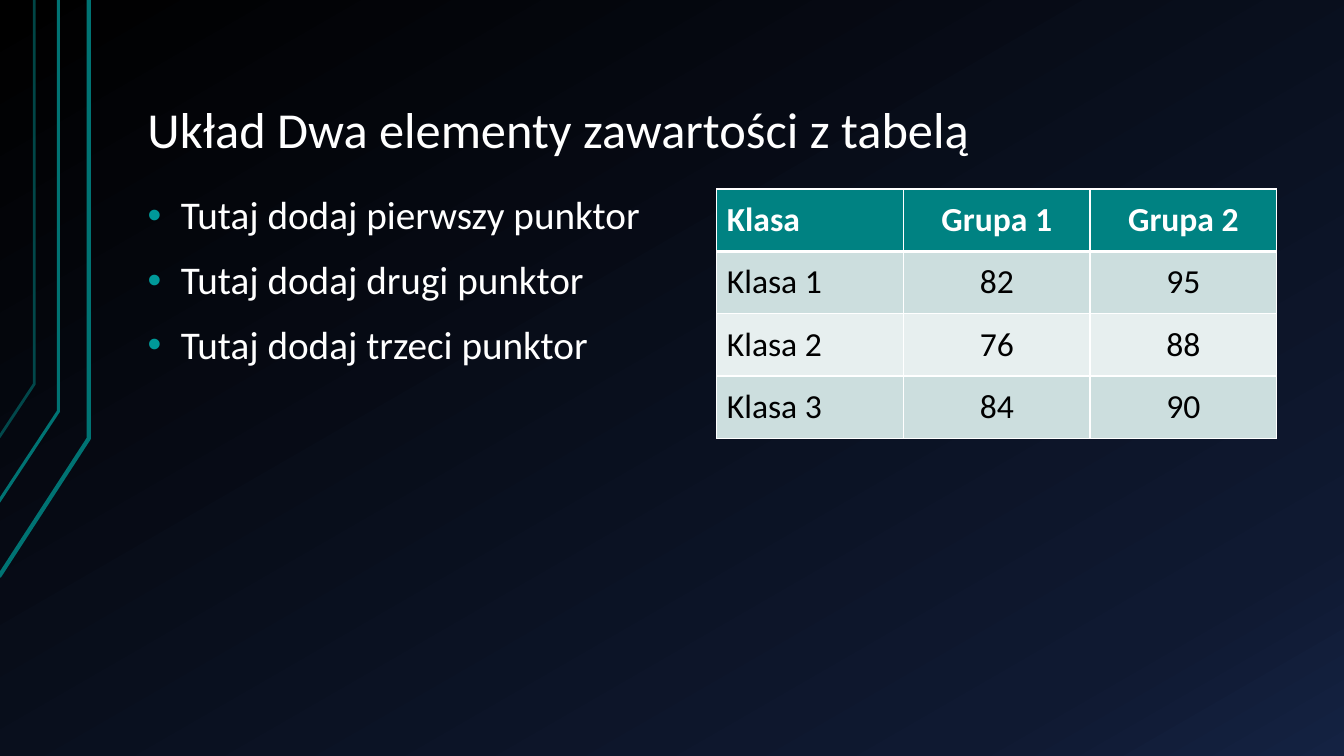
from lxml.etree import SubElement
from pptx import Presentation
from pptx.dml.color import RGBColor
from pptx.enum.text import MSO_ANCHOR as Anchor, PP_ALIGN as Align
from pptx.oxml import parse_xml
from pptx.oxml.ns import nsdecls, qn
from pptx.util import Inches, Pt

WIDTH, HEIGHT = Inches(13.333), Inches(7.5)
FONT = "Calibri"
WHITE = RGBColor(0xFF, 0xFF, 0xFF)
BLACK = RGBColor(0x00, 0x00, 0x00)
NAVY = RGBColor(0x0F, 0x19, 0x31)
BLUE = RGBColor(0x14, 0x22, 0x42)
LINE_TEAL = RGBColor(0x00, 0x73, 0x73)
BULLET_TEAL = RGBColor(0x00, 0x99, 0x99)
HEADER_TEAL = RGBColor(0x00, 0x82, 0x82)
BAND_DARK = RGBColor(0xCC, 0xDE, 0xDE)
BAND_LIGHT = RGBColor(0xE7, 0xEF, 0xEF)

TITLE = "Układ Dwa elementy zawartości z tabelą"
BULLETS = [
    "Tutaj dodaj pierwszy punktor",
    "Tutaj dodaj drugi punktor",
    "Tutaj dodaj trzeci punktor",
]
RESULTS = [
    ["Klasa", "Grupa 1", "Grupa 2"],
    ["Klasa 1", "82", "95"],
    ["Klasa 2", "76", "88"],
    ["Klasa 3", "84", "90"],
]


def share_box(left, top, width, height):
    return (int(WIDTH * left), int(HEIGHT * top),
            int(WIDTH * width), int(HEIGHT * height))


def style_runs(paragraph, size, color, bold=False):
    for run in paragraph.runs:
        run.font.name = FONT
        run.font.size = Pt(size)
        run.font.bold = bold
        run.font.color.rgb = color


def paint_background(slide):
    fill = slide.background.fill
    fill.gradient()
    fill.gradient_angle = 300
    stops = next(slide.element.iter(qn("a:gsLst")))
    for stop in list(stops):
        stops.remove(stop)
    for percent, color in ((0, BLACK), (85, NAVY), (100, BLUE)):
        stop = SubElement(stops, qn("a:gs"), pos=str(percent * 1000))
        SubElement(stop, qn("a:srgbClr"), val=str(color))


def add_corner_lines(slide):
    bends = [
        (-0.01, 5.72, 0.88, 4.35, 3, 100),
        (-0.02, 4.99, 0.58, 4.08, 2.25, 100),
        (-0.01, 4.34, 0.34, 3.81, 2, 60),
    ]
    for start, bottom, right, bend, weight, opacity in bends:
        builder = slide.shapes.build_freeform(
            Inches(start), Inches(bottom))
        builder.add_line_segments(
            [(Inches(right), Inches(bend)), (Inches(right), 0)], close=False)
        shape = builder.convert_to_shape()
        shape.shadow.inherit = False
        shape.fill.background()
        shape.line.color.rgb = LINE_TEAL
        shape.line.width = Pt(weight)
        if opacity < 100:
            color = next(shape.line._get_or_add_ln().iter(qn("a:srgbClr")))
            SubElement(color, qn("a:alpha"), val=str(opacity * 1000))


def add_text_area(slide, box, text, size, anchor):
    text_frame = slide.shapes.add_textbox(*box).text_frame
    text_frame.word_wrap = True
    text_frame.vertical_anchor = anchor
    text_frame.margin_left = text_frame.margin_right = Inches(0.13)
    text_frame.margin_top = text_frame.margin_bottom = Inches(0.07)
    text_frame.text = text
    for paragraph in text_frame.paragraphs:
        paragraph.line_spacing = 0.9
        style_runs(paragraph, size, WHITE)
    return text_frame


def add_bullets(slide, box):
    text_frame = add_text_area(slide, box, "\n".join(BULLETS), 28, Anchor.TOP)
    for paragraph in text_frame.paragraphs:
        paragraph.space_before = Pt(16)
        properties = paragraph._p.get_or_add_pPr()
        properties.set("marL", str(Inches(0.33)))
        properties.set("indent", str(-Inches(0.33)))
        color = SubElement(properties, qn("a:buClr"))
        SubElement(color, qn("a:srgbClr"), val=str(BULLET_TEAL))
        SubElement(properties, qn("a:buFont"), typeface="Arial")
        SubElement(properties, qn("a:buChar"), char="•")


def set_borders(cell, top, bottom):
    properties = cell._tc.get_or_add_tcPr()
    sides = (("L", 1), ("R", 1), ("T", top), ("B", bottom))
    for index, (side, weight) in enumerate(sides):
        properties.insert(index, parse_xml(
            f'<a:ln{side} {nsdecls("a")} w="{Pt(weight)}"><a:solidFill>'
            f'<a:srgbClr val="{WHITE}"/></a:solidFill></a:ln{side}>'))


def add_results_table(slide, box):
    table = slide.shapes.add_table(len(RESULTS), len(RESULTS[0]), *box).table
    for row, values in enumerate(RESULTS):
        header = row == 0
        band = BAND_DARK if row % 2 else BAND_LIGHT
        for column, value in enumerate(values):
            cell = table.cell(row, column)
            cell.text = value
            cell.vertical_anchor = Anchor.MIDDLE
            cell.fill.solid()
            cell.fill.fore_color.rgb = HEADER_TEAL if header else band
            set_borders(cell, 3 if row == 1 else 1, 3 if header else 1)
            paragraph = cell.text_frame.paragraphs[0]
            paragraph.alignment = Align.CENTER if column else Align.LEFT
            style_runs(paragraph, 24, WHITE if header else BLACK, header)


def build_two_content_slide(presentation):
    slide = presentation.slides.add_slide(presentation.slide_layouts[6])
    paint_background(slide)
    add_corner_lines(slide)
    add_text_area(slide, share_box(0.1, 0.04, 0.85, 0.18),
                  TITLE, 36, Anchor.BOTTOM)
    column = 5 / 12
    add_bullets(slide, share_box(0.1, 0.25, column, 0.65))
    add_results_table(slide, share_box(0.95 - column, 0.25, column, 0.33))


def main():
    presentation = Presentation()
    presentation.slide_width, presentation.slide_height = WIDTH, HEIGHT
    build_two_content_slide(presentation)
    presentation.save("out.pptx")


if __name__ == "__main__":
    main()
